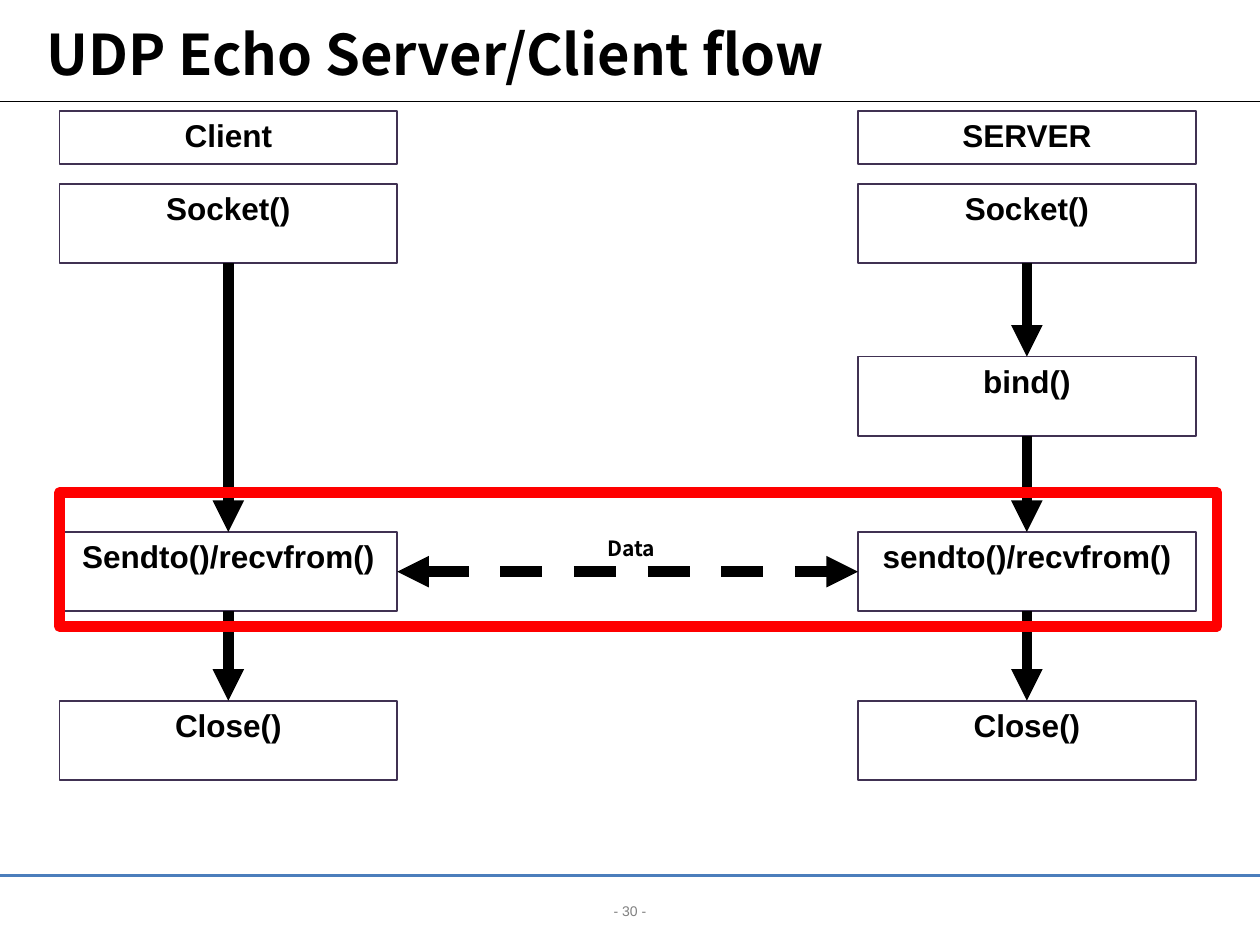
from pptx import Presentation
from pptx.dml.color import RGBColor
from pptx.enum.dml import MSO_LINE
from pptx.enum.shapes import MSO_CONNECTOR, MSO_SHAPE
from pptx.enum.text import MSO_ANCHOR as Anchor, PP_ALIGN as Align
from pptx.oxml.ns import qn
from pptx.util import Pt
from lxml.etree import SubElement

BLACK = RGBColor(0x00, 0x00, 0x00)
WHITE = RGBColor(0xFF, 0xFF, 0xFF)
GRAY = RGBColor(0x80, 0x80, 0x80)
PURPLE = RGBColor(0x40, 0x31, 0x52)
BLUE = RGBColor(0x4B, 0x7E, 0xBC)
RED = RGBColor(0xFF, 0x00, 0x00)
SANS = "Arial"
KOREAN = "Noto Sans CJK KR"
TOP, LEFT, BOTTOM, RIGHT = range(4)
SLIDE_W, SLIDE_H = 720, 540
STEP_W, STEP_H = 193, 45.4
STEP_TOPS = {"socket": 105, "bind": 203.8, "transfer": 304, "close": 400.4}


def write(frame, text, size, font, color=BLACK, bold=True, align=Align.CENTER):
    frame.word_wrap = True
    paragraph = frame.paragraphs[0]
    paragraph.alignment = align
    run = paragraph.add_run()
    run.text = text
    run.font.size = Pt(size)
    run.font.name = font
    run.font.bold = bold
    run.font.color.rgb = color
    SubElement(run.font._element, qn("a:ea")).set("typeface", font)
    return paragraph


def add_label(slide, box, text, size, font, **style):
    label = slide.shapes.add_textbox(*map(Pt, box))
    write(label.text_frame, text, size, font, **style)
    return label.text_frame


def add_line(slide, start, end, color, width):
    line = slide.shapes.add_connector(MSO_CONNECTOR.STRAIGHT, *map(Pt, start + end))
    line.line.color.rgb = color
    line.line.width = Pt(width)
    SubElement(line._element.spPr, qn("a:effectLst"))
    return line


def add_arrow(slide, source, source_side, target, target_side, dashed=False):
    arrow = add_line(slide, (0, 0), (0, 0), BLACK, 6)
    arrow.begin_connect(source, source_side)
    arrow.end_connect(target, target_side)
    if dashed:
        arrow.line.dash_style = MSO_LINE.DASH
    for end in ("a:headEnd", "a:tailEnd") if dashed else ("a:tailEnd",):
        SubElement(arrow.line._get_or_add_ln(), qn(end)).set("type", "triangle")


def add_box(slide, box, color, width):
    rectangle = slide.shapes.add_shape(MSO_SHAPE.RECTANGLE, *map(Pt, box))
    rectangle.shadow.inherit = False
    rectangle.line.color.rgb = color
    rectangle.line.width = Pt(width)
    return rectangle


def add_call(slide, box, text):
    call = add_box(slide, box, PURPLE, 1)
    call.fill.solid()
    call.fill.fore_color.rgb = WHITE
    frame = call.text_frame
    frame.vertical_anchor = Anchor.TOP
    frame.margin_left = frame.margin_right = Pt(8.6)
    frame.margin_top = frame.margin_bottom = Pt(2.9)
    write(frame, text, 18, SANS)
    return call


def add_column(slide, left, heading, calls):
    add_call(slide, (left, 63.4, STEP_W, 30.2), heading)
    steps = {
        step: add_call(slide, (left, STEP_TOPS[step], STEP_W, STEP_H), text)
        for step, text in calls.items()
    }
    ordered = list(steps.values())
    for upper, lower in zip(ordered, ordered[1:]):
        add_arrow(slide, upper, BOTTOM, lower, TOP)
    return steps


def add_frame(slide, width):
    add_line(slide, (0, 58), (width, 58), BLACK, 0.75)
    add_line(slide, (0, 500.4), (width, 500.4), BLUE, 1.5)
    add_label(slide, (0, 512, width, 17.3), "- 30 -", 8, SANS, color=GRAY, bold=False)
    title = add_label(slide, (19.4, 15.1, 676, 30.2), "UDP Echo Server/Client flow",
                      32, KOREAN, align=Align.LEFT)
    title.vertical_anchor = Anchor.MIDDLE


def add_flow(slide, left, right):
    client = add_column(slide, left, "Client", {
        "socket": "Socket()",
        "transfer": "Sendto()/recvfrom()",
        "close": "Close()",
    })
    server = add_column(slide, right - STEP_W, "SERVER", {
        "socket": "Socket()",
        "bind": "bind()",
        "transfer": "sendto()/recvfrom()",
        "close": "Close()",
    })
    add_arrow(slide, client["transfer"], RIGHT, server["transfer"], LEFT, dashed=True)
    add_label(slide, (306.7, 302.4, 108, 21.6), "Data", 12, KOREAN)


def add_highlight(slide, box):
    highlight = add_box(slide, box, RED, 6)
    highlight.fill.background()
    SubElement(highlight.line._get_or_add_ln(), qn("a:round"))


def main():
    deck = Presentation()
    deck.slide_width, deck.slide_height = Pt(SLIDE_W), Pt(SLIDE_H)
    slide = deck.slides.add_slide(deck.slide_layouts[6])
    add_frame(slide, SLIDE_W)
    add_flow(slide, 34, 683.3)
    add_highlight(slide, (34, 281.5, 661.5, 76.5))
    deck.save("out.pptx")


if __name__ == "__main__":
    main()
